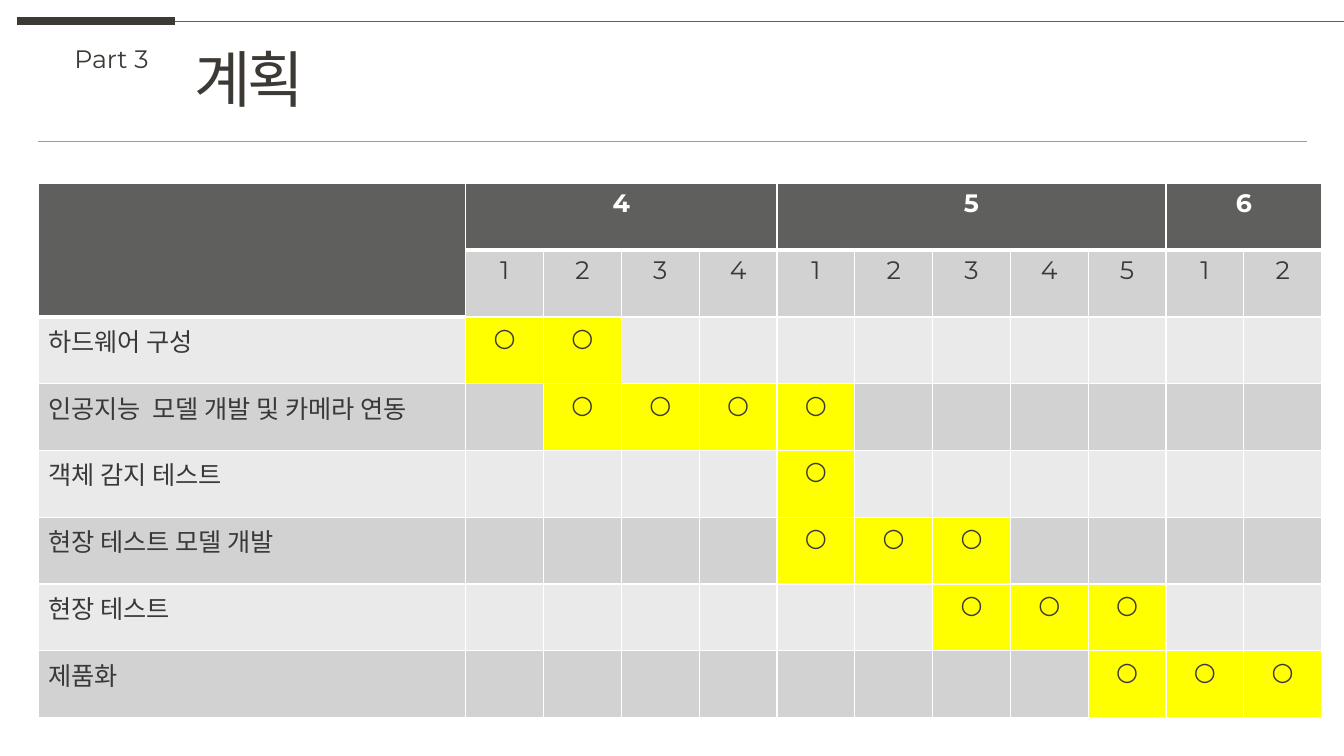
import pptx
import pptx.dml.color
import pptx.enum.shapes
import pptx.enum.text
import pptx.oxml
import pptx.oxml.ns
import pptx.util

RGBColor = pptx.dml.color.RGBColor
Inches = pptx.util.Inches
Pt = pptx.util.Pt
PP_ALIGN = pptx.enum.text.PP_ALIGN

PART = "Part 3"
TITLE = "계획"
MONTHS = [("4", 4), ("5", 5), ("6", 2)]
TASKS = [
    ("하드웨어 구성", 1, 2),
    ("인공지능  모델 개발 및 카메라 연동", 2, 5),
    ("객체 감지 테스트", 5, 5),
    ("현장 테스트 모델 개발", 5, 7),
    ("현장 테스트", 7, 9),
    ("제품화", 9, 11),
]
MARK = "○"

FONT = "Montserrat"
INK = RGBColor(0x3D, 0x3A, 0x35)
CELL_INK = RGBColor(0x3A, 0x38, 0x38)
WHITE = RGBColor(0xFF, 0xFF, 0xFF)
HEADER = RGBColor(0x5F, 0x5F, 0x5D)
RULE = RGBColor(0x9E, 0x9A, 0x9A)
DARK_BAND = RGBColor(0xD2, 0xD2, 0xD2)
LIGHT_BAND = RGBColor(0xEA, 0xEA, 0xEA)
ACTIVE = RGBColor(0xFF, 0xFF, 0x00)

SLIDE_WIDTH, SLIDE_HEIGHT = 13.33, 7.5
MARGIN = 0.38
TAB_END = 1.74
TOP_RULE = 0.21
TABLE_TOP, TABLE_WIDTH, TABLE_HEIGHT = 1.82, 12.73, 5.3
TASK_WIDTH = 4.24
RULES = [
    (0.17, TAB_END, TOP_RULE, INK, 6),
    (TAB_END, SLIDE_WIDTH, TOP_RULE, HEADER, 0.5),
    (MARGIN, 12.96, 1.4, RULE, 0.5),
]


def format_paragraph(paragraph, size, color, bold=False, align=PP_ALIGN.LEFT):
    paragraph.alignment = align
    paragraph.font.name = FONT
    paragraph.font.size = Pt(size)
    paragraph.font.bold = bold
    paragraph.font.color.rgb = color


def add_rule(slide, left, right, top, color, width):
    line = slide.shapes.add_connector(
        pptx.enum.shapes.MSO_CONNECTOR.STRAIGHT,
        Inches(left), Inches(top), Inches(right), Inches(top))
    line.line.color.rgb = color
    line.line.width = Pt(width)
    line.element.spPr.append(pptx.oxml.parse_xml(
        "<a:effectLst %s/>" % pptx.oxml.ns.nsdecls("a")))


def fill_text_box(shape, text, size):
    frame = shape.text_frame
    frame.text = text
    frame.word_wrap = False
    frame.auto_size = pptx.enum.text.MSO_AUTO_SIZE.SHAPE_TO_FIT_TEXT
    frame.vertical_anchor = pptx.enum.text.MSO_ANCHOR.TOP
    format_paragraph(frame.paragraphs[0], size, INK)


def set_borders(cell, top, bottom):
    properties = cell._tc.get_or_add_tcPr()
    for side, width in (("L", 1), ("R", 1), ("T", top), ("B", bottom)):
        properties.append(pptx.oxml.parse_xml(
            '<a:ln%s %s w="%d"><a:solidFill><a:srgbClr val="%s"/></a:solidFill></a:ln%s>'
            % (side, pptx.oxml.ns.nsdecls("a"), Pt(width), WHITE, side)))


def border_below(row, column):
    header_rows = 2 if column == 0 else 1
    return 3 if row == header_rows - 1 else 1


def format_cell(table, row, column, text):
    cell = table.cell(row, column)
    set_borders(cell, border_below(row - 1, column), border_below(row, column))
    is_header = row == 0 or (row == 1 and column == 0)
    band = DARK_BAND if row % 2 else LIGHT_BAND
    cell.fill.solid()
    cell.fill.fore_color.rgb = HEADER if is_header else ACTIVE if text == MARK else band
    cell.text = text
    format_paragraph(cell.text_frame.paragraphs[0], 18,
                     WHITE if is_header else CELL_INK, is_header,
                     PP_ALIGN.CENTER if column else PP_ALIGN.LEFT)


def add_schedule(slide):
    month_row, week_row = [""], [""]
    for month, weeks in MONTHS:
        month_row += [month] + [""] * (weeks - 1)
        week_row += [str(week) for week in range(1, weeks + 1)]
    week_count = len(week_row) - 1
    rows = [month_row, week_row]
    for name, first, last in TASKS:
        rows.append([name] + [MARK if first <= week <= last else ""
                              for week in range(1, week_count + 1)])

    table = slide.shapes.add_table(
        len(rows), week_count + 1, Inches(MARGIN), Inches(TABLE_TOP),
        Inches(TABLE_WIDTH), Inches(TABLE_HEIGHT)).table
    table.first_row = False
    table.horz_banding = False
    for index, column in enumerate(table.columns):
        column.width = Inches((TABLE_WIDTH - TASK_WIDTH) / week_count if index else TASK_WIDTH)
    for row, texts in enumerate(rows):
        for column, text in enumerate(texts):
            format_cell(table, row, column, text)

    table.cell(0, 0).merge(table.cell(1, 0))
    start = 1
    for month, weeks in MONTHS:
        table.cell(0, start).merge(table.cell(0, start + weeks - 1))
        start += weeks


def main():
    presentation = pptx.Presentation()
    presentation.slide_width = Inches(SLIDE_WIDTH)
    presentation.slide_height = Inches(SLIDE_HEIGHT)
    slide = presentation.slides.add_slide(presentation.slide_layouts.get_by_name("Title Only"))

    for rule in RULES:
        add_rule(slide, *rule)

    part = slide.shapes.add_textbox(Inches(0.64), Inches(0.38), Inches(0.97), Inches(0.4))
    fill_text_box(part, PART, 18)

    title = slide.shapes.title
    title.left, title.top = Inches(1.83), Inches(0.36)
    title.width, title.height = Inches(1.35), Inches(0.84)
    fill_text_box(title, TITLE, 44)
    title.text_frame.paragraphs[0].runs[0].font._element.set("spc", "-300")

    add_schedule(slide)
    presentation.save("out.pptx")


if __name__ == "__main__":
    main()
